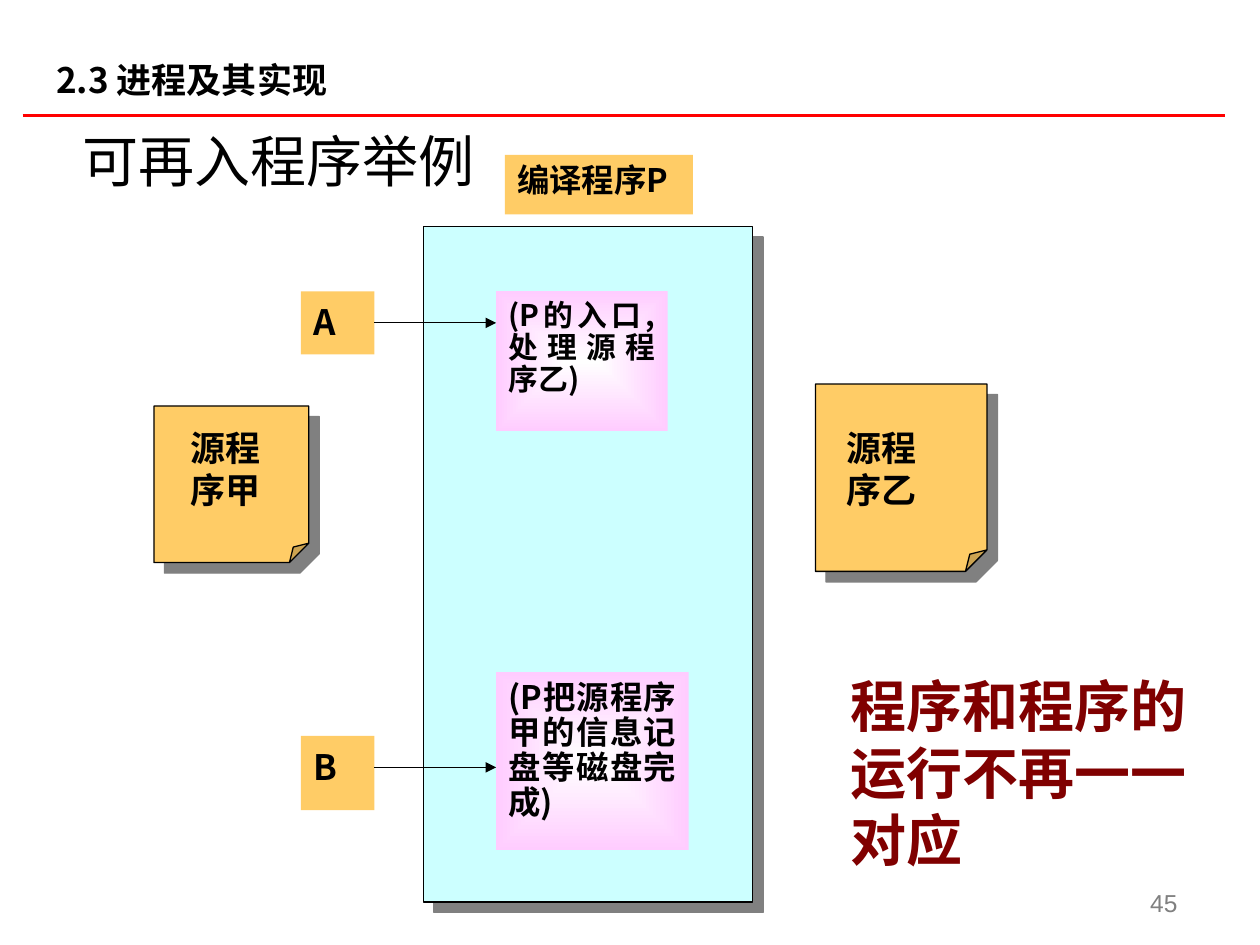
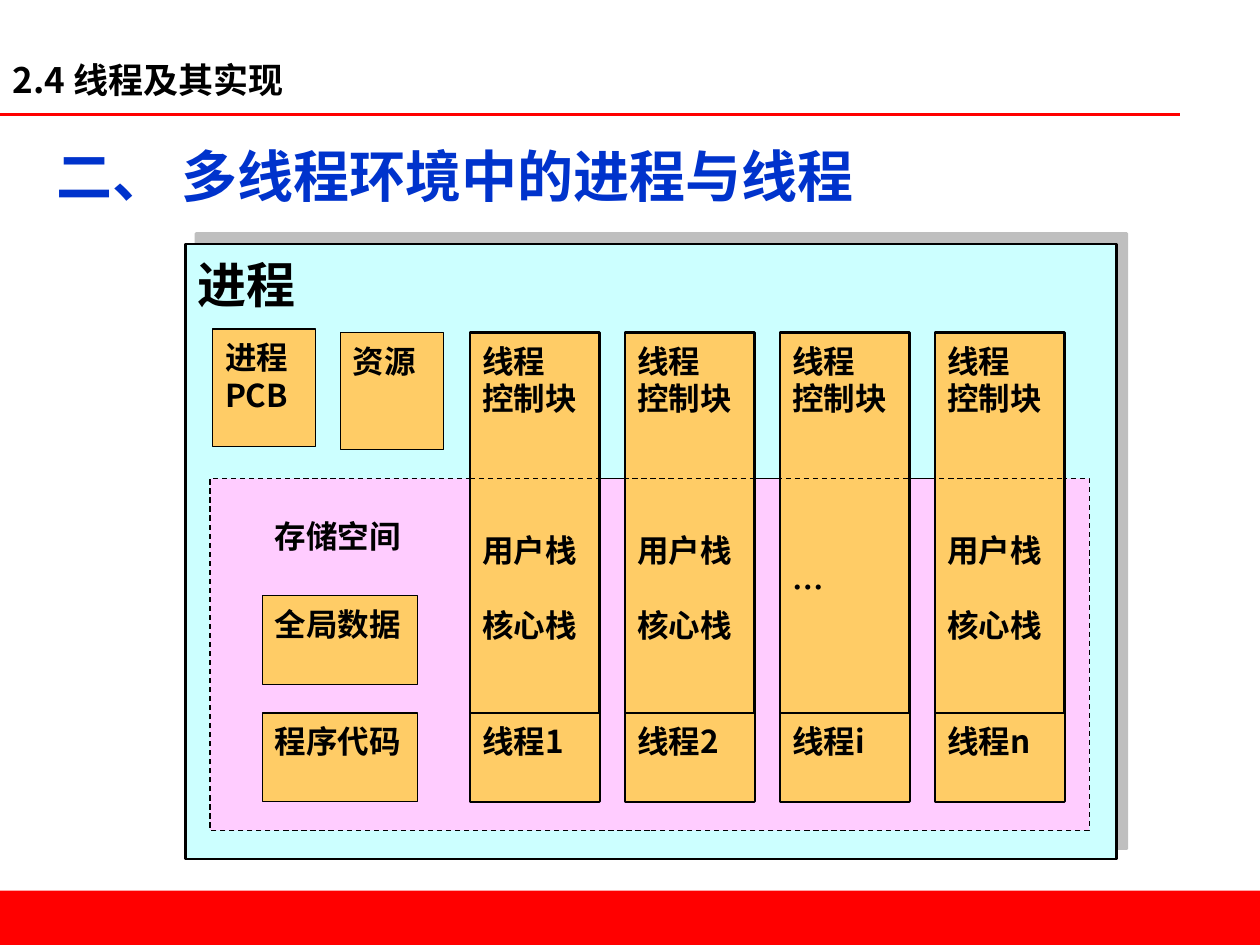
from dataclasses import dataclass
from typing import Optional

from lxml import etree
from pptx import Presentation
from pptx.dml.color import RGBColor
from pptx.enum import dml, shapes, text
from pptx.oxml.ns import qn
from pptx.util import Pt

COLORS = {
    "black": "000000", "white": "FFFFFF", "red": "FF0000", "gray": "808080",
    "maroon": "800000", "blue": "0033CC", "cyan": "CCFFFF",
    "orange": "FFCC66", "pink": "FFCCFF",
}
LATIN, CJK = "Arial", "Noto Sans CJK SC"
LEFT, RIGHT, JUSTIFY = text.PP_ALIGN.LEFT, text.PP_ALIGN.RIGHT, text.PP_ALIGN.JUSTIFY
TOP, MIDDLE, BOTTOM = text.MSO_ANCHOR.TOP, text.MSO_ANCHOR.MIDDLE, text.MSO_ANCHOR.BOTTOM
RECT, NOTE = shapes.MSO_SHAPE.RECTANGLE, shapes.MSO_SHAPE.FOLDED_CORNER
LINE_HEIGHT = 1.2


@dataclass
class TextStyle:
    size: float
    color: str = "black"
    bold: bool = True
    font: str = CJK
    align: text.PP_ALIGN = JUSTIFY
    anchor: text.MSO_ANCHOR = TOP
    spacing: float = 1.0


@dataclass
class Box:
    left: float
    top: float
    width: float
    height: float
    label: str = ""
    style: Optional[TextStyle] = None
    fill: Optional[str] = "orange"
    line: float = 0
    dashed: bool = False
    glow: bool = False
    shape: shapes.MSO_SHAPE = RECT
    shadow: Optional[tuple[int, int]] = None  # direction in degrees, opacity in percent
    gaps: tuple[int, ...] = ()  # free lines above each paragraph


@dataclass
class Line:
    x1: float
    y1: float
    x2: float
    y2: float
    color: str = "black"
    width: float = 0.75
    dashed: bool = False
    arrow: bool = False


HEADER = TextStyle(20, align=LEFT, anchor=MIDDLE)
PAGE_NUMBER = TextStyle(14, "gray", False, LATIN, RIGHT, BOTTOM)
REMARK = TextStyle(32, "maroon", font=LATIN, align=LEFT, anchor=BOTTOM)
LETTER = TextStyle(20)
SOURCE = TextStyle(20, align=LEFT)
PROGRAM = TextStyle(18.5, spacing=0.9)
ENTRY = TextStyle(17, spacing=0.9)
PROCESS = TextStyle(28)
PART = TextStyle(18)
PART_LEFT = TextStyle(18, align=LEFT)


def rgb(name: str) -> RGBColor:
    return RGBColor.from_string(COLORS[name])


def add_xml(parent, tag: str, **attributes: str):
    return etree.SubElement(parent, qn(tag), **attributes)


def write(sp, label: str, style: TextStyle, gaps: tuple[int, ...] = ()) -> None:
    tf = sp.text_frame
    tf.text = label
    tf.word_wrap = True
    tf.auto_size = text.MSO_AUTO_SIZE.NONE
    tf.vertical_anchor = style.anchor
    tf.margin_left = tf.margin_right = Pt(7.2)
    # Fixed line heights lift the glyphs a little; the margins balance it
    tf.margin_top = Pt(3.6 + 0.09 * style.size)
    tf.margin_bottom = Pt(3.6 - 0.08 * style.size)
    pitch = style.size * LINE_HEIGHT * style.spacing
    for i, p in enumerate(tf.paragraphs):
        p.alignment = style.align
        p.line_spacing = Pt(round(pitch, 1))
        p.space_before = Pt(gaps[i] * pitch if gaps else 0)
        for r in p.runs:
            r.font.size = Pt(style.size)
            r.font.bold = style.bold
            r.font.color.rgb = rgb(style.color)
            r.font.name = style.font
            add_xml(r._r.get_or_add_rPr(), "a:ea", typeface=CJK)


def add_glow(sp) -> None:
    """Fill from a white centre to pink edges."""
    sp.fill.gradient()
    for stop, position, name in zip(sp.fill.gradient_stops, (0, 1), ("white", "pink")):
        stop.position = position
        stop.color.rgb = rgb(name)
    grad = sp._element.spPr.find(qn("a:gradFill"))
    lin = grad.find(qn("a:lin"))
    if lin is not None:
        grad.remove(lin)
    route = add_xml(grad, "a:path", path="rect")
    add_xml(route, "a:fillToRect", l="50000", t="50000", r="50000", b="50000")


def add_shadow(sp, direction: int, opacity: int) -> None:
    effects = sp._element.spPr.find(qn("a:effectLst"))
    shadow = add_xml(effects, "a:outerShdw", dist=str(Pt(8.5)),
                     dir=str(direction * 60000), algn="ctr", rotWithShape="0")
    color = add_xml(shadow, "a:srgbClr", val=COLORS["gray"])
    add_xml(color, "a:alpha", val=str(opacity * 1000))


def set_fold(sp, share: float) -> None:
    geometry = sp._element.spPr.find(qn("a:prstGeom"))
    guides = geometry.find(qn("a:avLst"))
    if guides is None:
        guides = add_xml(geometry, "a:avLst")
    add_xml(guides, "a:gd", name="adj", fmla=f"val {round(share * 100000)}")


def add_box(s, box: Box):
    sp = s.shapes.add_shape(box.shape, Pt(box.left), Pt(box.top), Pt(box.width), Pt(box.height))
    sp.shadow.inherit = False
    if box.glow:
        add_glow(sp)
    else:
        sp.fill.solid()
        sp.fill.fore_color.rgb = rgb(box.fill)
    if box.line:
        sp.line.color.rgb = rgb("black")
        sp.line.width = Pt(box.line)
        if box.dashed:
            sp.line.dash_style = dml.MSO_LINE.DASH
    else:
        sp.line.fill.background()
    if box.shape == NOTE:
        set_fold(sp, 0.125)
    if box.shadow:
        add_shadow(sp, *box.shadow)
    if box.label:
        write(sp, box.label, box.style, box.gaps)
    return sp


def add_line(s, line: Line):
    c = s.shapes.add_connector(shapes.MSO_CONNECTOR.STRAIGHT,
                               Pt(line.x1), Pt(line.y1), Pt(line.x2), Pt(line.y2))
    c.line.color.rgb = rgb(line.color)
    c.line.width = Pt(line.width)
    if line.dashed:
        c.line.dash_style = dml.MSO_LINE.DASH
    if line.arrow:
        add_xml(c.line._get_or_add_ln(), "a:tailEnd", type="triangle")
    add_xml(c._element.spPr, "a:effectLst")
    return c


def add_text(s, left: float, top: float, width: float, height: float,
             label: str, style: TextStyle) -> None:
    sp = s.shapes.add_textbox(Pt(left), Pt(top), Pt(width), Pt(height))
    write(sp, label, style)


def add_slide(prs, title: str, frame: tuple[float, ...], style: TextStyle):
    s = prs.slides.add_slide(prs.slide_layouts[5])
    sp = s.shapes.title
    sp.left, sp.top, sp.width, sp.height = map(Pt, frame)
    write(sp, title, style)
    return s


def add_header(s, label: str, left: float, rule: Line) -> None:
    add_line(s, rule)
    add_box(s, Box(left, 31.5, 416, 24.5, label, HEADER, "white"))


def build_reentrant_slide(prs) -> None:
    s = add_slide(prs, "可再入程序举例", (40, 29, 614, 83),
                  TextStyle(32, bold=False, font=LATIN, align=LEFT, anchor=BOTTOM))

    # Compiler program and its two code sections
    down_right = (45, 100)
    add_box(s, Box(242, 129.5, 188, 386, fill="cyan", line=0.75, shadow=down_right))
    add_box(s, Box(288.5, 88.5, 107.5, 34, "编译程序P", PROGRAM))
    add_box(s, Box(283.5, 166.5, 98, 80, "(P的入口,处理源程序乙)", ENTRY, glow=True))
    add_box(s, Box(283.5, 384, 110, 102, "(P把源程序甲的信息记盘等磁盘完成)", PROGRAM, glow=True))

    # Points A and B
    point_a = add_box(s, Box(172, 166.5, 42, 36, "A", LETTER))
    add_box(s, Box(172, 420.5, 42, 42.5, "B", LETTER))
    arrow_a = add_line(s, Line(214, 184.5, 283.5, 184.5, arrow=True))
    arrow_a.begin_connect(point_a, 3)
    add_line(s, Line(214, 438.5, 283.5, 438.5, arrow=True))

    # Source programs
    for note, text_left, label in (
        ((88, 232, 88.5, 89.5), 101.5, "源程序甲"),
        ((466, 219.5, 98, 107), 476.5, "源程序乙"),
    ):
        add_box(s, Box(*note, line=0.75, shape=NOTE, shadow=down_right))
        add_box(s, Box(text_left, 238.5, 70, 71, label, SOURCE))

    add_text(s, 530, 490.5, 150, 36, "45", PAGE_NUMBER)
    add_header(s, "2.3 进程及其实现", 25, Line(13, 66, 700, 66, "red", 1.5))
    add_text(s, 479, 304, 211.5, 196, "程序和程序的运行不再一一对应", REMARK)


def build_thread_slide(prs) -> None:
    s = add_slide(prs, "二、 多线程环境中的进程与线程", (25, 60.5, 602, 60),
                  TextStyle(32, "blue", font=LATIN, align=LEFT, anchor=BOTTOM))

    # Process with its control block, resources and memory
    add_box(s, Box(106, 139.5, 532, 351.5, "进程", PROCESS, "cyan", 1.5, shadow=(315, 50)))
    add_box(s, Box(121.5, 188, 59, 67, "进程PCB", PART_LEFT, line=0.75))
    add_box(s, Box(194.5, 190, 59, 67, "资源", PART, line=0.75))
    add_box(s, Box(120, 273.5, 502.5, 201, fill="pink", line=0.75, dashed=True))
    for top, label, fill, line in (
        (290, "存储空间", "pink", 0),
        (340.5, "全局数据", "orange", 0.75),
        (407.5, "程序代码", "orange", 0.75),
    ):
        add_box(s, Box(150, top, 88.5, 50.5, label, PART, fill, line))

    # Threads
    first, step, width = 268.5, 88.6, 74
    stacks = ("线程\n控制块\n用户栈\n核心栈", (0, 0, 3, 1))
    more = ("线程\n控制块\n…", (0, 0, 4))
    threads = (("1", stacks), ("2", stacks), ("i", more), ("n", stacks))
    for i, (name, (label, gaps)) in enumerate(threads):
        left = first + i * step
        add_box(s, Box(left, 190, width, 268, label, PART, line=1.5, gaps=gaps))
        add_box(s, Box(left, 407.5, width, 50.5, f"线程{name}", PART, line=0.75))
    add_line(s, Line(first, 273.5, first + 3 * step + width, 273.5, dashed=True))

    # Footer band and header
    add_box(s, Box(0, 509, 720, 31, fill="red"))
    add_header(s, "2.4 线程及其实现", 0, Line(-13, 65.5, 674.5, 65.5, "red", 1.5))


def main() -> None:
    prs = Presentation()
    prs.slide_width, prs.slide_height = Pt(720), Pt(540)
    build_reentrant_slide(prs)
    build_thread_slide(prs)
    prs.save("out.pptx")


if __name__ == "__main__":
    main()
